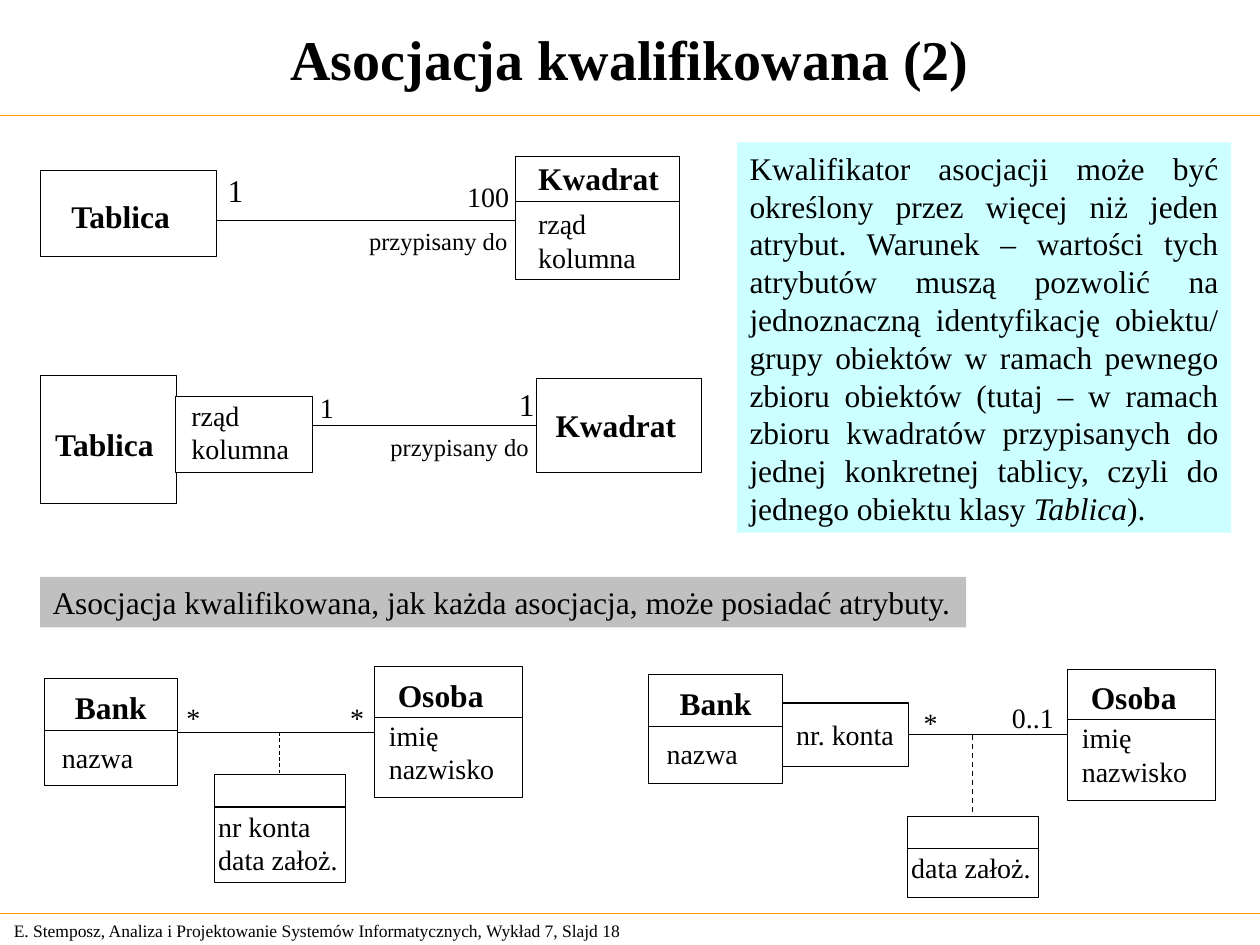
import pptx
import pptx.util
import pptx.dml.color
import pptx.enum.dml
import pptx.enum.shapes
import pptx.enum.text
import pptx.oxml.ns
import lxml.etree

Cm = pptx.util.Cm
Pt = pptx.util.Pt
ALIGN = pptx.enum.text.PP_ALIGN
ANCHOR = pptx.enum.text.MSO_ANCHOR
TOP, LEFT, RIGHT = 0, 1, 3

COLORS = {
    "ink": "000000",
    "paper": "FFFFFF",
    "rule": "FF9900",
    "note": "CCFFFF",
    "banner": "C0C0C0",
}
FONT = "Times New Roman"
CLASS_NAME = {"size": Pt(18), "bold": True}
MULTIPLICITY = {"size": Pt(18)}
ATTRIBUTE = {"size": Pt(16)}
ROLE = {"size": Pt(14)}
LINE_HEIGHT = 0.042
BARE = {"margin_left": 0, "margin_top": 0, "margin_right": 0, "margin_bottom": 0, "word_wrap": False}
PADDED = {
    "margin_left": Cm(0.25),
    "margin_top": Cm(0.13),
    "margin_right": Cm(0.25),
    "margin_bottom": Cm(0.13),
    "word_wrap": True,
}


def apply(target, values):
    for name, value in values.items():
        setattr(target, name, value)


def color(name):
    return pptx.dml.color.RGBColor.from_string(COLORS[name])


def inside(box, x, y, width=0, height=0):
    return box[0] + x, box[1] + y, width, height


def write(shape, lines, font, frame=BARE, align=ALIGN.LEFT):
    apply(shape.text_frame, frame)
    for index, pieces in enumerate(lines):
        paragraphs = shape.text_frame.paragraphs
        paragraph = shape.text_frame.add_paragraph() if index else paragraphs[0]
        paragraph.alignment = align
        for text, extra in pieces:
            run = paragraph.add_run()
            run.text = text
            apply(run.font, {"name": FONT, **font, **extra})
            run.font.color.rgb = color("ink")


def plain(*lines):
    return [[(line, {})] for line in lines]


def add_text(slide, box, lines, font, frame=BARE, align=ALIGN.LEFT):
    shape = slide.shapes.add_textbox(*map(Cm, box))
    write(shape, lines, font, frame, align)


def add_label(slide, box, x, y, width, lines, font):
    height = len(lines) * font["size"].pt * LINE_HEIGHT
    add_text(slide, inside(box, x, y, width, height), plain(*lines), font)


def add_rectangle(slide, box, fill="paper", outline=0.5):
    shape = slide.shapes.add_shape(pptx.enum.shapes.MSO_SHAPE.RECTANGLE, *map(Cm, box))
    shape.shadow.inherit = False
    if fill:
        shape.fill.solid()
        shape.fill.fore_color.rgb = color(fill)
    else:
        shape.fill.background()
    if outline is None:
        shape.line.fill.background()
    else:
        shape.line.color.rgb = color("ink")
        shape.line.width = Pt(outline)
    return shape


def add_line(slide, start, end, ink="ink", width=0.75, dashed=False, begin=None, finish=None):
    line = slide.shapes.add_connector(
        pptx.enum.shapes.MSO_CONNECTOR.STRAIGHT, *map(Cm, (*start[:2], *end[:2]))
    )
    line.line.color.rgb = color(ink)
    line.line.width = Pt(width)
    if dashed:
        line.line.dash_style = pptx.enum.dml.MSO_LINE.DASH
    if begin:
        line.begin_connect(*begin)
    if finish:
        line.end_connect(*finish)
    properties = line._element.spPr
    lxml.etree.SubElement(properties, pptx.oxml.ns.qn("a:effectLst"))


def add_class(slide, box, labels, divider=None, fill="paper", outline=0.5):
    rectangle = add_rectangle(slide, box, fill, outline)
    if divider:
        add_line(slide, inside(box, 0, divider), inside(box, box[2], divider))
    for label in labels:
        add_label(slide, box, *label)
    return rectangle


def add_person(slide, box):
    labels = [
        (0.48, 0.18, 2, ["Osoba"], CLASS_NAME),
        (0.3, 1.04, 2.4, ["imię", "nazwisko"], ATTRIBUTE),
    ]
    return add_class(slide, box, labels, 1.02)


def add_bank(slide, box):
    labels = [
        (0.62, 0.19, 1.7, ["Bank"], CLASS_NAME),
        (0.36, 1.25, 1.8, ["nazwa"], ATTRIBUTE),
    ]
    return add_class(slide, box, labels, 1.05)


def add_association_class(slide, box, lines):
    return add_class(slide, box, [(0.08, 0.69, 2.55, lines, ATTRIBUTE)], 0.65)


def add_frame(slide, box):
    left, top, width, height = box
    add_text(
        slide, (left, top, width, 2.34), plain("Asocjacja kwalifikowana (2)"),
        {"size": Pt(32), "bold": True},
        {**PADDED, "vertical_anchor": ANCHOR.MIDDLE}, ALIGN.CENTER,
    )
    for y in (2.33, 18.41):
        add_line(slide, inside(box, 0, y), inside(box, width, y), "rule")
    add_text(
        slide, inside(box, 0.03, 18.42, 13.31, 0.69),
        plain("E. Stemposz, Analiza i Projektowanie Systemów Informatycznych, Wykład 7, Slajd 18"),
        {"size": Pt(10)}, {**PADDED, "vertical_anchor": ANCHOR.MIDDLE, "word_wrap": False},
    )


def add_plain_board(slide, box):
    add_class(slide, inside(box, 0, 0.28, 3.56, 1.75), [(0.63, 0.55, 2.3, ["Tablica"], CLASS_NAME)])
    square_labels = [
        (0.46, 0.05, 2.7, ["Kwadrat"], CLASS_NAME),
        (0.46, 1.02, 2.3, ["rząd", "kolumna"], ATTRIBUTE),
    ]
    add_class(slide, inside(box, 9.58, 0, 3.3, 2.49), square_labels, 0.91)
    add_line(slide, inside(box, 3.56, 1.3), inside(box, 9.58, 1.3))
    add_label(slide, box, 3.78, 0.3, 0.4, ["1"], MULTIPLICITY)
    add_label(slide, box, 8.61, 0.48, 0.96, ["100"], ATTRIBUTE)
    add_label(slide, box, 6.63, 1.4, 2.94, ["przypisany do"], ROLE)


def add_qualified_board(slide, box):
    add_class(slide, inside(box, 0, 0, 2.74, 2.59), [(0.3, 0.99, 2.3, ["Tablica"], CLASS_NAME)])
    square = add_class(
        slide, inside(box, 10.01, 0.05, 3.33, 1.9), [(0.38, 0.56, 2.7, ["Kwadrat"], CLASS_NAME)]
    )
    add_line(slide, inside(box, 2.72, 1), inside(box, 10.01, 1), width=0.5, finish=(square, LEFT))
    add_class(
        slide, inside(box, 2.72, 0.43, 2.77, 1.52),
        [(0.33, 0.03, 2.3, ["rząd", "kolumna"], ATTRIBUTE)],
    )
    add_label(slide, box, 5.64, 0.3, 0.4, ["1"], ATTRIBUTE)
    add_label(slide, box, 9.65, 0.2, 0.36, ["1"], MULTIPLICITY)
    add_label(slide, box, 7.06, 1.14, 2.94, ["przypisany do"], ROLE)


def add_note(slide, box):
    sentence = (
        "Kwalifikator asocjacji może być określony przez więcej niż jeden atrybut. "
        "Warunek – wartości tych atrybutów muszą pozwolić na jednoznaczną identyfikację "
        "obiektu/ grupy obiektów w ramach pewnego zbioru obiektów (tutaj – w ramach zbioru "
        "kwadratów przypisanych do jednej konkretnej tablicy, czyli do jednego obiektu klasy "
    )
    pieces = [(sentence, {}), ("Tablica", {"italic": True}), (").", {})]
    frame = {**PADDED, "vertical_anchor": ANCHOR.TOP}
    write(add_rectangle(slide, box, "note", None), [pieces], MULTIPLICITY, frame, ALIGN.JUSTIFY)


def add_banner(slide, box):
    lines = plain("Asocjacja kwalifikowana, jak każda asocjacja, może posiadać atrybuty.")
    frame = {**PADDED, "vertical_anchor": ANCHOR.TOP, "word_wrap": False}
    write(add_rectangle(slide, box, "banner", None), lines, MULTIPLICITY, frame)


def add_plain_bank(slide, box):
    bank = add_bank(slide, inside(box, 0, 0.24, 2.69, 2.16))
    person = add_person(slide, inside(box, 6.65, 0, 3, 2.64))
    account = add_association_class(
        slide, inside(box, 3.43, 2.18, 2.64, 2.18), ["nr konta", "data założ."]
    )
    add_line(slide, box, box, begin=(bank, RIGHT), finish=(person, LEFT))
    add_line(slide, inside(box, 4.75, 1.32), box, width=0.5, dashed=True, finish=(account, TOP))
    for x in (2.87, 6.17):
        add_label(slide, box, x, 0.69, 0.4, ["*"], ATTRIBUTE)


def add_qualified_bank(slide, box):
    add_bank(slide, inside(box, 0, 0.1, 2.69, 2.21))
    person = add_person(slide, inside(box, 8.43, 0, 3, 2.64))
    qualifier = add_class(
        slide, inside(box, 2.69, 0.68, 2.54, 1.28),
        [(0.28, 0.3, 2.2, ["nr. konta"], ATTRIBUTE)], fill=None, outline=0.75,
    )
    opening = add_association_class(slide, inside(box, 5.21, 2.97, 2.64, 1.63), ["data założ."])
    add_line(slide, box, box, begin=(qualifier, RIGHT), finish=(person, LEFT))
    add_line(slide, inside(box, 6.53, 1.32), box, dashed=True, finish=(opening, TOP))
    add_label(slide, box, 5.54, 0.74, 0.4, ["*"], ATTRIBUTE)
    add_label(slide, box, 7.32, 0.64, 1.05, ["0..1"], ATTRIBUTE)


def main():
    presentation = pptx.Presentation()
    apply(presentation, {"slide_width": Cm(25.4), "slide_height": Cm(19.05)})
    slide = presentation.slides.add_slide(presentation.slide_layouts[6])
    add_frame(slide, (0, 0, 25.4, 19.05))
    add_plain_board(slide, (0.81, 3.15, 12.88, 2.49))
    add_qualified_board(slide, (0.81, 7.57, 13.34, 2.59))
    add_note(slide, (14.86, 2.87, 9.96, 7.87))
    add_banner(slide, (0.81, 11.63, 18.67, 1.02))
    add_plain_bank(slide, (0.89, 13.44, 9.65, 4.37))
    add_qualified_bank(slide, (13.08, 13.49, 11.43, 4.6))
    presentation.save("out.pptx")


if __name__ == "__main__":
    main()
